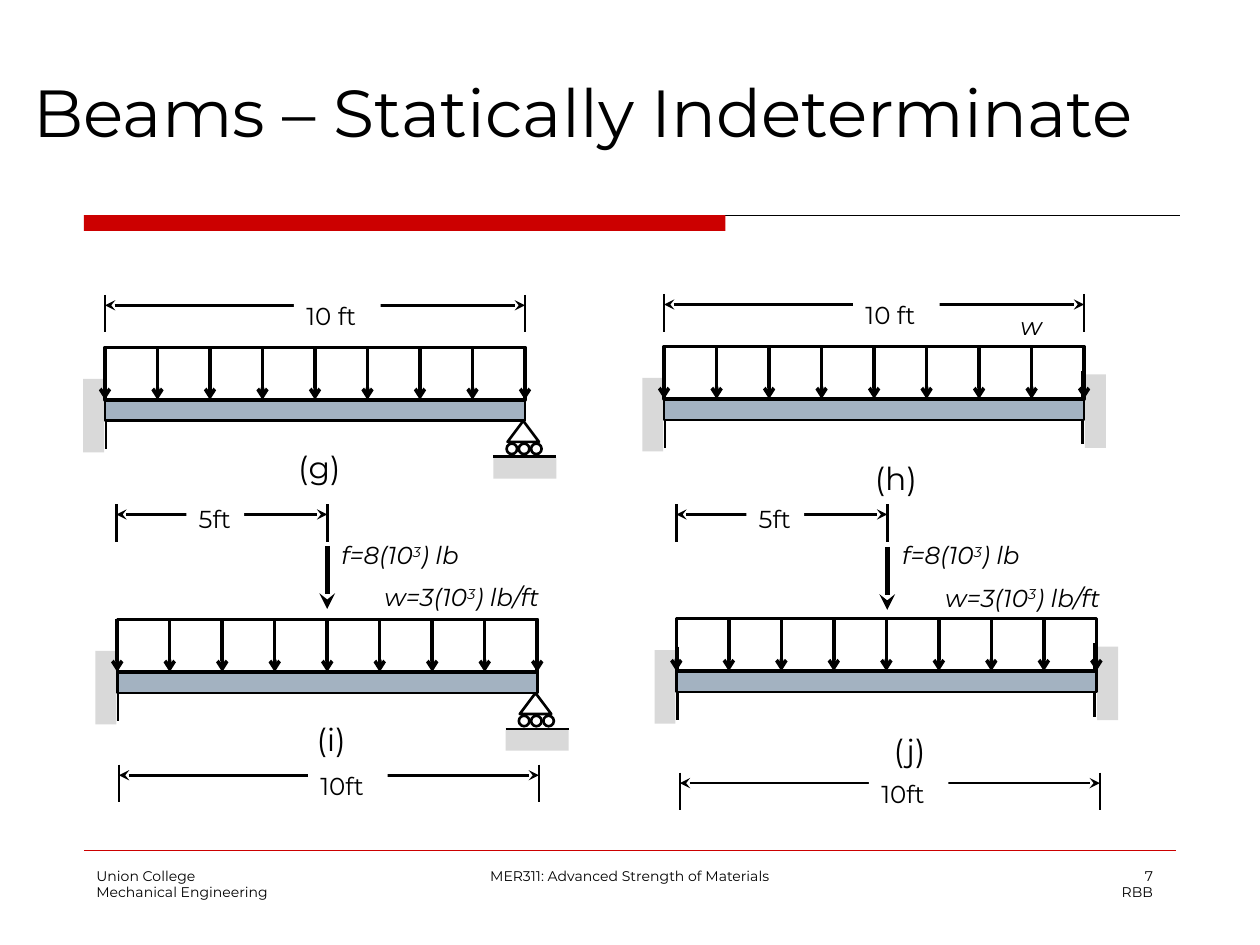
from dataclasses import dataclass

from lxml import etree
from pptx import Presentation
from pptx.dml.color import RGBColor
from pptx.enum import shapes as sh, text as tx
from pptx.oxml.ns import qn
from pptx.util import Pt


@dataclass(frozen=True)
class Theme:
    face: str = "Montserrat"
    ink: str = "000000"
    red: str = "CC0000"
    steel: str = "A3B2C1"
    wall: str = "D9D9D9"
    white: str = "FFFFFF"
    head: float = 38
    mark: float = 18
    note: float = 14
    foot: float = 8
    thin: float = 1.5
    bold: float = 2
    heavy: float = 3


@dataclass(frozen=True)
class Run:
    text: str
    raised: bool = False


@dataclass(frozen=True)
class Dim:
    x: float
    top: float
    span: float
    label: str
    shift: float
    drop: float
    width: float


@dataclass(frozen=True)
class Beam:
    x: float
    y: float
    fixed: bool  # right end built in, otherwise on rollers
    mark: str
    at: tuple[float, float, float]
    dims: tuple[Dim, ...]


@dataclass(frozen=True)
class Note:
    x: float
    y: float
    width: float
    runs: tuple[Run, ...]


T = Theme()
KIND = sh.MSO_SHAPE
SIDE = tx.PP_ALIGN
SPAN, DEEP, RISE, STEPS = 240, 12, 30, 8

FORCE = (Run("f=8(10"), Run("3", True), Run(") lb"))
LOAD = (Run("w=3(10"), Run("3", True), Run(") lb/ft"))

BEAMS = (
    Beam(60, 228.5, False, "(g)", (162, 252.5, 41),
         (Dim(60, 168.5, SPAN, "10 ft", 108, 0, 49.5),)),
    Beam(379.5, 228, True, "(h)", (491.5, 258.5, 41),
         (Dim(379.5, 168, SPAN, "10 ft", 108, 0, 49.5),)),
    Beam(67, 384, False, "(i)", (172, 408, 34.5),
         (Dim(68, 437, SPAN, "10ft", 108, 0, 45.5),
          Dim(66.5, 288, 120.5, "5ft", 40, -3.5, 33))),
    Beam(386.5, 383.5, True, "(j)", (502.5, 414, 34.5),
         (Dim(388.5, 441.5, SPAN, "10ft", 108, 0, 45.5),
          Dim(386.5, 288, 120.5, "5ft", 40, -3.5, 33))),
)
NOTES = (
    Note(576, 174, 28, (Run("w"),)),
    Note(188, 305, 94, FORCE),
    Note(212.5, 329, 118, LOAD),
    Note(508.5, 305, 94, FORCE),
    Note(533, 329.5, 118, LOAD),
)
POINTS = ((187, 312), (507, 312.5))


def tint(code: str) -> RGBColor:
    return RGBColor.from_string(code)


def line(page, x1: float, y1: float, x2: float, y2: float, wide: float = T.thin,
         hue: str = T.ink, head: str = "", tail: str = "") -> None:
    bar = page.shapes.add_connector(
        sh.MSO_CONNECTOR.STRAIGHT, Pt(x1), Pt(y1), Pt(x2), Pt(y2))
    bar.line.width = Pt(wide)
    bar.line.color.rgb = tint(hue)
    props = bar._element.spPr
    edge = props.find(qn("a:ln"))
    for tag, kind in (("a:headEnd", head), ("a:tailEnd", tail)):
        if kind:
            etree.SubElement(edge, qn(tag), type=kind)
    etree.SubElement(props, qn("a:effectLst"))


def form(page, kind, x: float, y: float, w: float, h: float,
         fill: str = "", wide: float = 0):
    item = page.shapes.add_shape(kind, Pt(x), Pt(y), Pt(w), Pt(h))
    item.shadow.inherit = False
    if fill:
        item.fill.solid()
        item.fill.fore_color.rgb = tint(fill)
    else:
        item.fill.background()
    if wide:
        item.line.color.rgb = tint(T.ink)
        item.line.width = Pt(wide)
    else:
        item.line.fill.background()
    return item


def write(para, runs: tuple[Run, ...], size: float, side=SIDE.LEFT,
          slant: bool = False) -> None:
    para.alignment = side
    for part in runs:
        run = para.add_run()
        run.text = part.text
        run.font.name = T.face
        run.font.size = Pt(size)
        run.font.color.rgb = tint(T.ink)
        if slant:
            run.font.italic = True
        if part.raised:
            run._r.get_or_add_rPr().set("baseline", "30000")


def snug(frame) -> None:
    """Let the box fit one unwrapped line, set from the top."""
    frame.word_wrap = False
    frame.auto_size = tx.MSO_AUTO_SIZE.SHAPE_TO_FIT_TEXT
    frame.vertical_anchor = tx.MSO_ANCHOR.TOP


def label(page, x: float, y: float, w: float, h: float, runs: tuple[Run, ...],
          size: float, side=SIDE.LEFT, slant: bool = False) -> None:
    frame = page.shapes.add_textbox(Pt(x), Pt(y), Pt(w), Pt(h)).text_frame
    snug(frame)
    write(frame.paragraphs[0], runs, size, side, slant)


def foot(page, x: float, w: float, side, *rows: str) -> None:
    frame = page.shapes.add_textbox(Pt(x), Pt(492), Pt(w), Pt(36)).text_frame
    frame.word_wrap = True
    for n, row in enumerate(rows):
        para = frame.add_paragraph() if n else frame.paragraphs[0]
        write(para, (Run(row),), T.foot, side)


def measure(page, d: Dim) -> None:
    end = d.x + d.span
    for x in (d.x, end):
        line(page, x, d.top, x, d.top + 21.5)
    line(page, d.x, d.top + 6, end, d.top + 6, head="stealth", tail="stealth")
    box = form(page, KIND.RECTANGLE, d.x + d.shift, d.top + d.drop,
               d.width, 24.5, T.white)
    snug(box.text_frame)
    write(box.text_frame.paragraphs[0], (Run(d.label),), T.note)


def clamp(page, edge: float, left: float, top: float) -> None:
    form(page, KIND.RECTANGLE, left, top, 12, 42, T.wall)
    line(page, edge, top - 2, edge, top + 40)


def roller(page, x: float, y: float) -> None:
    """Draw the roller support below a beam's lower right corner."""
    form(page, KIND.RECTANGLE, x - 18, y + 21, 36, 12, T.wall)
    line(page, x - 18, y + 20.5, x + 18, y + 20.5)
    for gap in (-7, 0, 7):
        form(page, KIND.OVAL, x + gap - 3.5, y + 13, 6, 6, wide=T.thin)
    form(page, KIND.ISOSCELES_TRIANGLE, x - 10, y, 18, 12, wide=T.thin)


def draw(page, b: Beam) -> None:
    end = b.x + SPAN
    clamp(page, b.x + 0.5, b.x - 12.5, b.y - 12)
    if b.fixed:
        clamp(page, end - 1, end + 0.5, b.y - 14)
    else:
        roller(page, end, b.y + DEEP)
    form(page, KIND.RECTANGLE, b.x, b.y, SPAN, DEEP, T.steel, T.thin)
    form(page, KIND.RECTANGLE, b.x, b.y - RISE, SPAN, RISE, wide=T.bold)
    for n in range(STEPS + 1):
        x = b.x + n * SPAN / STEPS
        line(page, x, b.y - RISE, x, b.y, T.bold, tail="arrow")
    for d in b.dims:
        measure(page, d)
    x, y, w = b.at
    label(page, x, y, w, 29, (Run(b.mark),), T.mark, SIDE.CENTER)


def main() -> None:
    deck = Presentation()
    deck.slide_width, deck.slide_height = Pt(720), Pt(540)
    page = deck.slides.add_slide(deck.slide_layouts[5])

    head = page.shapes.title
    head.left, head.top, head.width, head.height = Pt(12), Pt(36), Pt(708), Pt(54)
    frame = head.text_frame
    frame.word_wrap = True
    frame.auto_size = tx.MSO_AUTO_SIZE.NONE
    frame.vertical_anchor = tx.MSO_ANCHOR.BOTTOM
    write(frame.paragraphs[0], (Run("Beams – Statically Indeterminate"),), T.head)

    line(page, 48, 123, 674.5, 123, 0.75)
    form(page, KIND.RECTANGLE, 48, 123, 366.5, 9, T.red)
    line(page, 48, 486, 672, 486, 0.25, T.red)
    foot(page, 48, 150, SIDE.LEFT, "Union College", "Mechanical Engineering")
    foot(page, 246, 228, SIDE.CENTER, "MER311: Advanced Strength of Materials")
    foot(page, 516, 150, SIDE.RIGHT, "7", "RBB")

    for b in BEAMS:
        draw(page, b)
    for x, y in POINTS:
        line(page, x, y, x, y + 36, T.heavy, tail="stealth")
    for n in NOTES:
        label(page, n.x, n.y, n.width, 24.5, n.runs, T.note, slant=True)
    deck.save("out.pptx")


if __name__ == "__main__":
    main()
